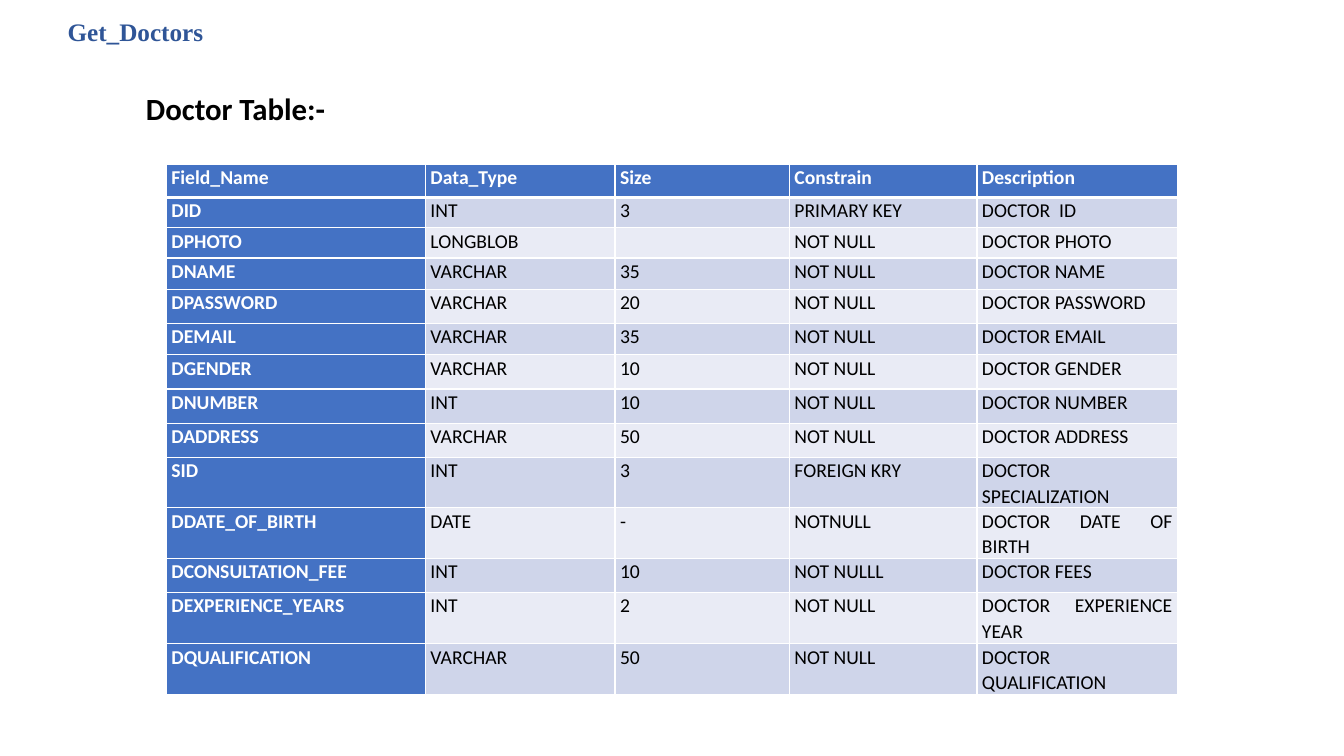
from dataclasses import dataclass

from lxml.etree import SubElement
from pptx import Presentation
from pptx.dml.color import RGBColor
from pptx.enum.text import MSO_ANCHOR, PP_ALIGN
from pptx.oxml.ns import qn
from pptx.util import Inches, Pt


@dataclass(frozen=True)
class Theme:
    """Colours, fonts and type sizes of the slide."""
    accent: str = "4472C4"
    title: str = "2F5597"
    ink: str = "000000"
    white: str = "FFFFFF"
    bands: tuple = ("CFD5EA", "E9EBF5")
    title_font: str = "Times New Roman"
    body_font: str = "Calibri"
    title_size: int = 18
    heading_size: int = 22
    cell_size: int = 14


COLUMN_WIDTHS = [2.57, 1.88, 1.73, 1.86, 1.99]
ROW_HEIGHTS = [0.33, 0.3, 0.3, 0.31, 0.34, 0.31] + [0.34] * 6 + [0.51, 0.34]
DOCTOR_FIELDS = [
    ("Field_Name", "Data_Type", "Size", "Constrain", "Description"),
    ("DID", "INT", "3", "PRIMARY KEY", "DOCTOR  ID"),
    ("DPHOTO", "LONGBLOB", "", "NOT NULL", "DOCTOR PHOTO"),
    ("DNAME", "VARCHAR", "35", "NOT NULL", "DOCTOR NAME"),
    ("DPASSWORD", "VARCHAR", "20", "NOT NULL", "DOCTOR PASSWORD"),
    ("DEMAIL", "VARCHAR", "35", "NOT NULL", "DOCTOR EMAIL"),
    ("DGENDER", "VARCHAR", "10", "NOT NULL", "DOCTOR GENDER"),
    ("DNUMBER", "INT", "10", "NOT NULL", "DOCTOR NUMBER"),
    ("DADDRESS", "VARCHAR", "50", "NOT NULL", "DOCTOR ADDRESS"),
    ("SID", "INT", "3", "FOREIGN KRY", "DOCTOR SPECIALIZATION"),
    ("DDATE_OF_BIRTH", "DATE", "-", "NOTNULL", "DOCTOR DATE OF BIRTH"),
    ("DCONSULTATION_FEE", "INT", "10", "NOT NULLL", "DOCTOR FEES"),
    ("DEXPERIENCE_YEARS", "INT", "2", "NOT NULL", "DOCTOR EXPERIENCE YEAR"),
    ("DQUALIFICATION", "VARCHAR", "50", "NOT NULL", "DOCTOR QUALIFICATION"),
]


class SlideBuilder:
    """Adds styled elements to one slide."""

    def __init__(self, slide, theme):
        self.slide = slide
        self.theme = theme

    def format_runs(self, paragraph, font_name, size, color, bold):
        for run in paragraph.runs:
            run.font.name = font_name
            run.font.size = Pt(size)
            run.font.bold = bold
            run.font.color.rgb = RGBColor.from_string(color)

    def fill_frame(self, frame, text, font_name, size, color):
        frame.text = text
        frame.word_wrap = True
        frame.vertical_anchor = MSO_ANCHOR.TOP
        frame.paragraphs[0].alignment = PP_ALIGN.LEFT
        self.format_runs(frame.paragraphs[0], font_name, size, color, True)

    def title(self, text, left, top, width, height):
        title = self.slide.shapes.title
        title.left, title.top = Inches(left), Inches(top)
        title.width, title.height = Inches(width), Inches(height)
        self.fill_frame(title.text_frame, text, self.theme.title_font,
                        self.theme.title_size, self.theme.title)

    def heading(self, text, left, top, width, height):
        heading = self.slide.shapes.add_textbox(
            Inches(left), Inches(top), Inches(width), Inches(height))
        self.fill_frame(heading.text_frame, text, self.theme.body_font,
                        self.theme.heading_size, self.theme.ink)

    def borders(self, cell, row):
        properties = cell._tc.get_or_add_tcPr()
        widths = {"L": 1, "R": 1, "T": 3 if row == 1 else 1, "B": 3 if row == 0 else 1}
        for side, width in widths.items():
            line = SubElement(properties, qn(f"a:ln{side}"), w=str(Pt(width)))
            fill = SubElement(line, qn("a:solidFill"))
            SubElement(fill, qn("a:srgbClr"), val=self.theme.white)

    def cell(self, cell, text, row, column):
        theme = self.theme
        is_header = row == 0 or column == 0
        cell.margin_left = cell.margin_right = Inches(0.05)
        cell.margin_top = cell.margin_bottom = 0
        self.borders(cell, row)
        cell.fill.solid()
        cell.fill.fore_color.rgb = RGBColor.from_string(
            theme.accent if is_header else theme.bands[(row - 1) % 2])
        cell.text_frame.text = text
        paragraph = cell.text_frame.paragraphs[0]
        paragraph.alignment = PP_ALIGN.JUSTIFY
        paragraph.line_spacing = 1.07
        paragraph.space_after = Pt(8)
        self.format_runs(paragraph, theme.body_font, theme.cell_size,
                         theme.white if is_header else theme.ink, is_header)
        if not text:
            SubElement(paragraph._p, qn("a:endParaRPr"), sz=str(theme.cell_size * 100))

    def table(self, rows, left, top, widths, heights):
        table = self.slide.shapes.add_table(
            len(rows), len(widths), Inches(left), Inches(top),
            Inches(sum(widths)), Inches(sum(heights))).table
        table.first_col = True
        for column, width in zip(table.columns, widths):
            column.width = Inches(width)
        for row, height in zip(table.rows, heights):
            row.height = Inches(height)
        for r, values in enumerate(rows):
            for c, value in enumerate(values):
                self.cell(table.cell(r, c), value, r, c)


def main():
    presentation = Presentation()
    presentation.slide_width = Inches(13.33)
    presentation.slide_height = Inches(7.5)
    slide = presentation.slides.add_slide(presentation.slide_layouts[5])
    builder = SlideBuilder(slide, Theme())
    builder.title("Get_Doctors", 0.57, 0.11, 2.32, 0.4)
    builder.heading("Doctor Table:-", 1.35, 0.84, 3.87, 0.47)
    builder.table(DOCTOR_FIELDS, 1.65, 1.63, COLUMN_WIDTHS, ROW_HEIGHTS)
    presentation.save("out.pptx")


if __name__ == "__main__":
    main()
